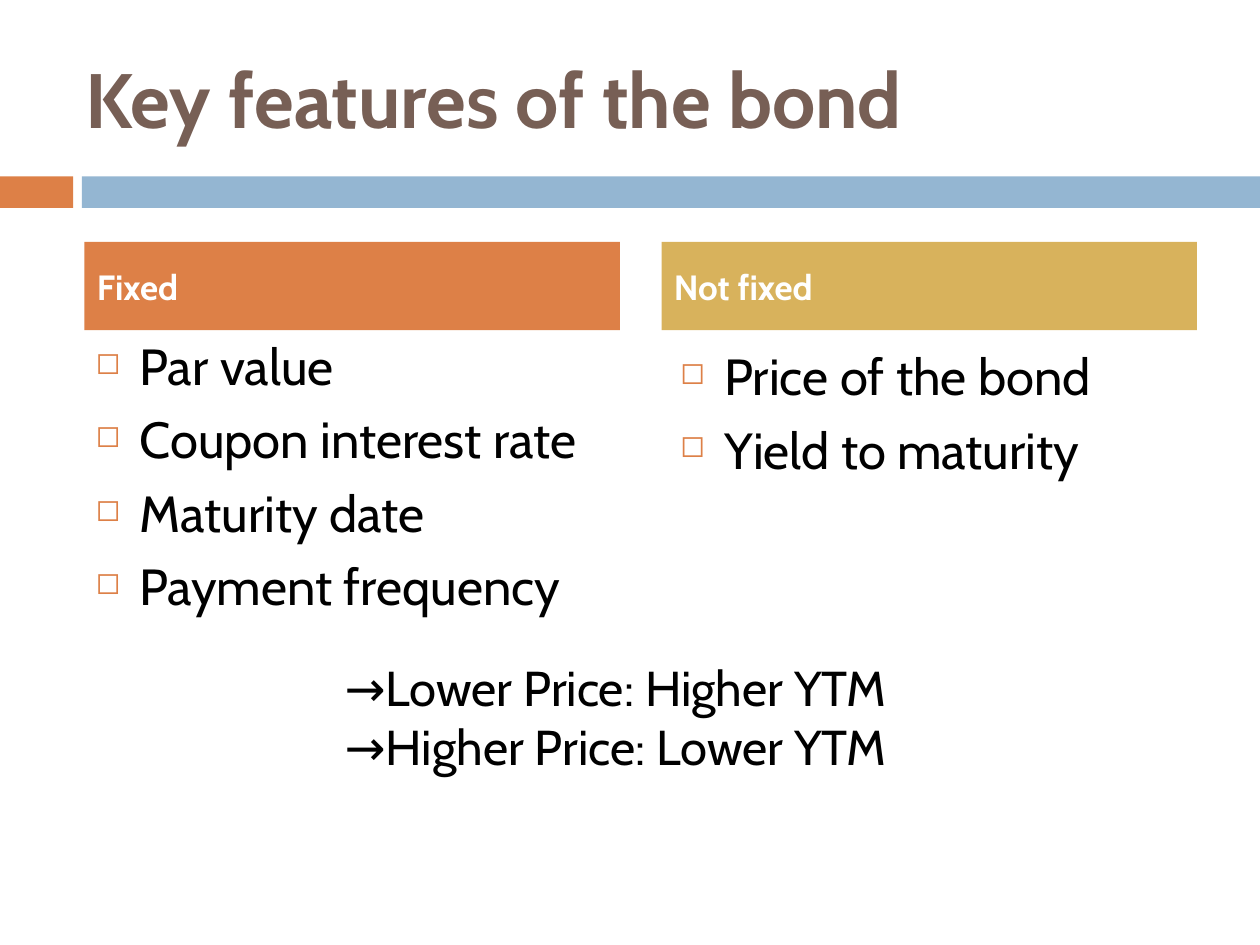
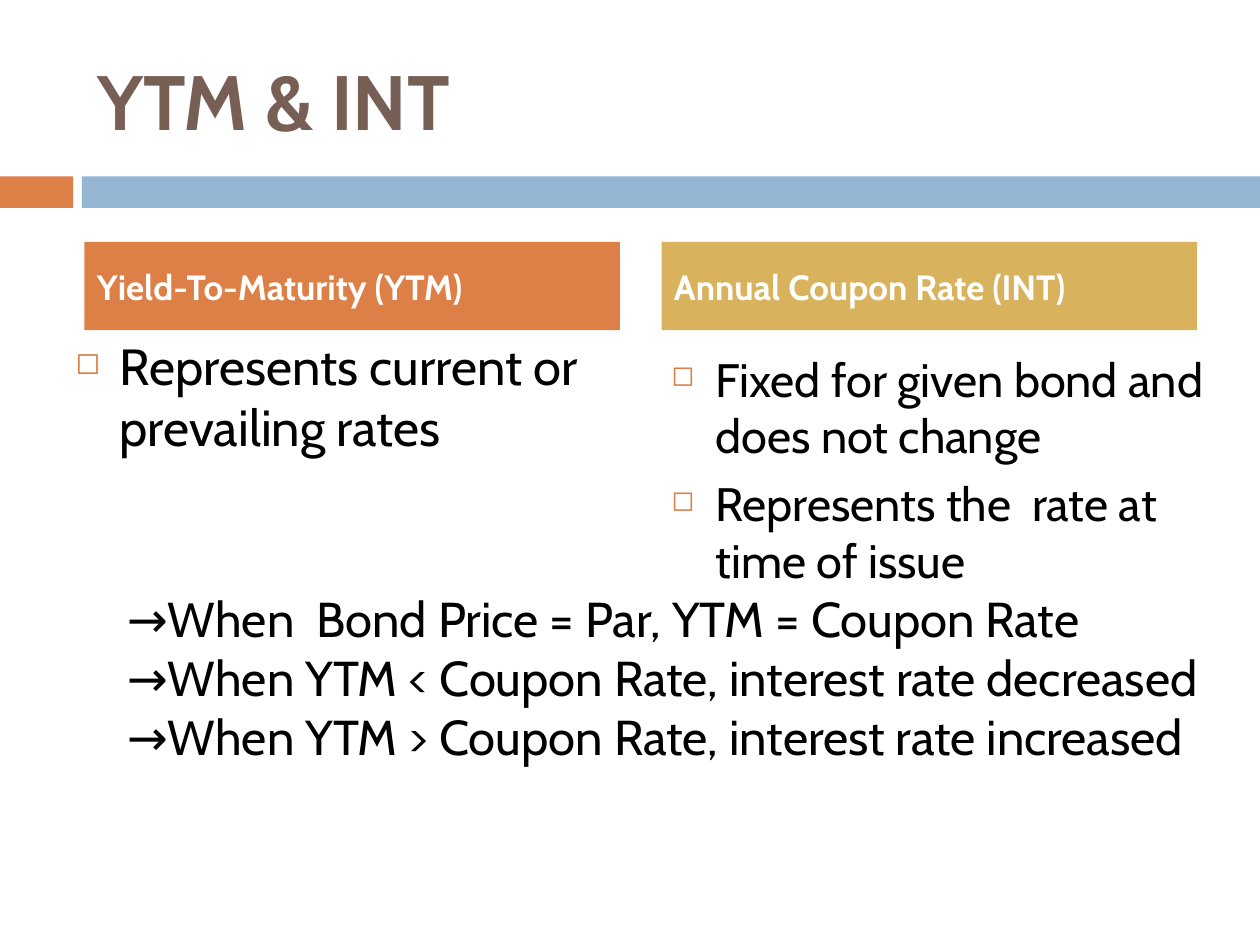
from lxml.etree import SubElement
from pptx import Presentation
from pptx.dml.color import RGBColor
from pptx.enum.shapes import MSO_SHAPE
from pptx.enum.text import MSO_ANCHOR, PP_ALIGN
from pptx.oxml.ns import qn
from pptx.util import Inches, Pt

HUES = {
    "brown": "775F55",
    "orange": "DD8047",
    "blue": "94B6D2",
    "gold": "D8B25C",
    "white": "FFFFFF",
    "black": "000000",
}
FONT = "Cabin"
TITLE_ONLY = 5


def color(name):
    return RGBColor.from_string(HUES[name])


def add_bullet(para):
    props = para._p.get_or_add_pPr()
    props.set("marL", str(Inches(0.35)))
    props.set("indent", str(-Inches(0.35)))
    tint = SubElement(props, qn("a:buClr"))
    SubElement(tint, qn("a:srgbClr")).set("val", HUES["orange"])
    SubElement(props, qn("a:buSzPct")).set("val", "60000")
    SubElement(props, qn("a:buChar")).set("char", "◻")


def write(frame, lines, size=28, hue="black", bold=False, align=PP_ALIGN.LEFT,
          anchor=MSO_ANCHOR.TOP, before=0, bullet=False):
    frame.word_wrap = True
    frame.vertical_anchor = anchor
    for num, line in enumerate(lines):
        para = frame.paragraphs[0] if num == 0 else frame.add_paragraph()
        para.alignment = align
        para.space_before = Pt(before)
        if bullet:
            add_bullet(para)
        run = para.add_run()
        run.text = line
        run.font.name = FONT
        run.font.size = Pt(size)
        run.font.bold = bold
        run.font.color.rgb = color(hue)


class Deck:
    def __init__(self):
        self.show = Presentation()
        self.show.slide_width = Inches(10)
        self.show.slide_height = Inches(7.5)
        self.slide = None

    def start(self, title, left, top, height):
        layout = self.show.slide_layouts[TITLE_ONLY]
        self.slide = self.show.slides.add_slide(layout)
        self.band(0, 1.4, 0.58, 0.25, "orange")
        self.band(0.65, 1.4, 9.35, 0.25, "blue")
        head = self.slide.shapes.title
        head.left, head.top = Inches(left), Inches(top)
        head.width, head.height = Inches(8.92), Inches(height)
        write(head.text_frame, [title], size=44, hue="brown", bold=True,
              anchor=MSO_ANCHOR.MIDDLE)

    def band(self, left, top, width, height, hue):
        box = self.slide.shapes.add_shape(
            MSO_SHAPE.RECTANGLE, Inches(left), Inches(top),
            Inches(width), Inches(height))
        box.shadow.inherit = False
        box.fill.solid()
        box.fill.fore_color.rgb = color(hue)
        box.line.fill.background()
        return box

    def heads(self, first, second):
        pairs = ((0.67, first, "orange"), (5.25, second, "gold"))
        for left, label, hue in pairs:
            box = self.band(left, 1.92, 4.25, 0.7, hue)
            write(box.text_frame, [label], size=20, hue="white", bold=True,
                  anchor=MSO_ANCHOR.MIDDLE, before=7)

    def text(self, left, top, width, height, lines, **style):
        box = self.slide.shapes.add_textbox(
            Inches(left), Inches(top), Inches(width), Inches(height))
        write(box.text_frame, lines, **style)

    def points(self, left, top, height, lines, size=29):
        self.text(left, top, 4.42, height, lines, size=size, before=7,
                  bullet=True)


def main():
    deck = Deck()

    deck.start("Key features of the bond", 0.58, 0.3, 0.95)
    deck.heads("Fixed", "Not fixed")
    deck.points(0.66, 2.61, 3.5, [
        "Par value", "Coupon interest rate", "Maturity date",
        "Payment frequency"])
    deck.points(5.3, 2.69, 3.34, ["Price of the bond", "Yield to maturity"])
    deck.text(0.83, 5.17, 8.11, 1.04, [
        "→Lower Price: Higher YTM",
        "→Higher Price: Lower YTM"], align=PP_ALIGN.CENTER)

    deck.start("YTM & INT", 0.67, 0.25, 1.08)
    deck.heads("Yield-To-Maturity (YTM)", "Annual Coupon Rate (INT)")
    deck.points(0.5, 2.61, 1.77, ["Represents current or prevailing rates"])
    deck.points(5.23, 2.73, 1.65, [
        "Fixed for given bond and does not change",
        "Represents the  rate at time of issue"], size=26.8)
    deck.text(0.91, 4.62, 9.13, 1.51, [
        "→When  Bond Price = Par, YTM = Coupon Rate",
        "→When YTM < Coupon Rate, interest rate decreased",
        "→When YTM > Coupon Rate, interest rate increased"])

    deck.show.save("out.pptx")


if __name__ == "__main__":
    main()
